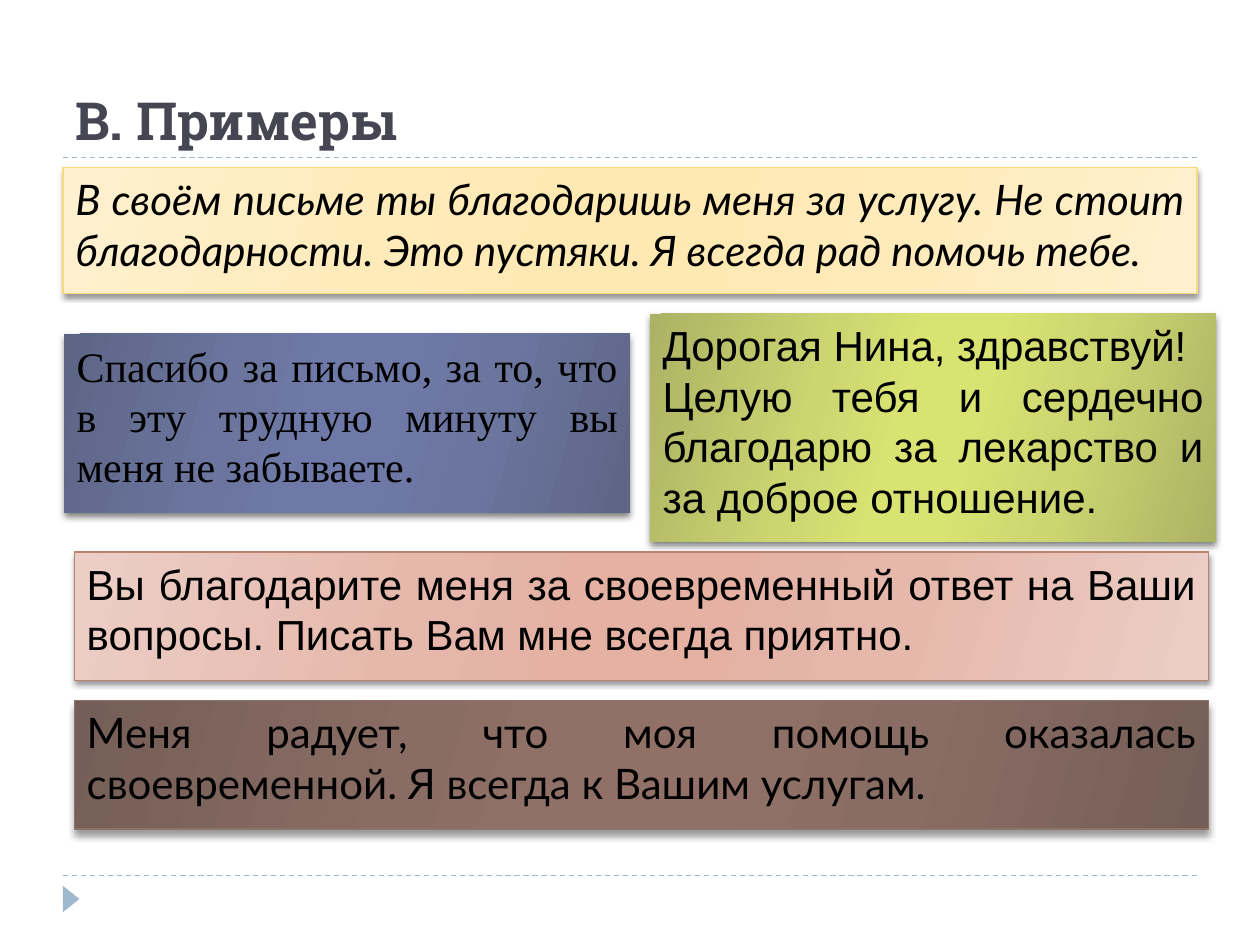
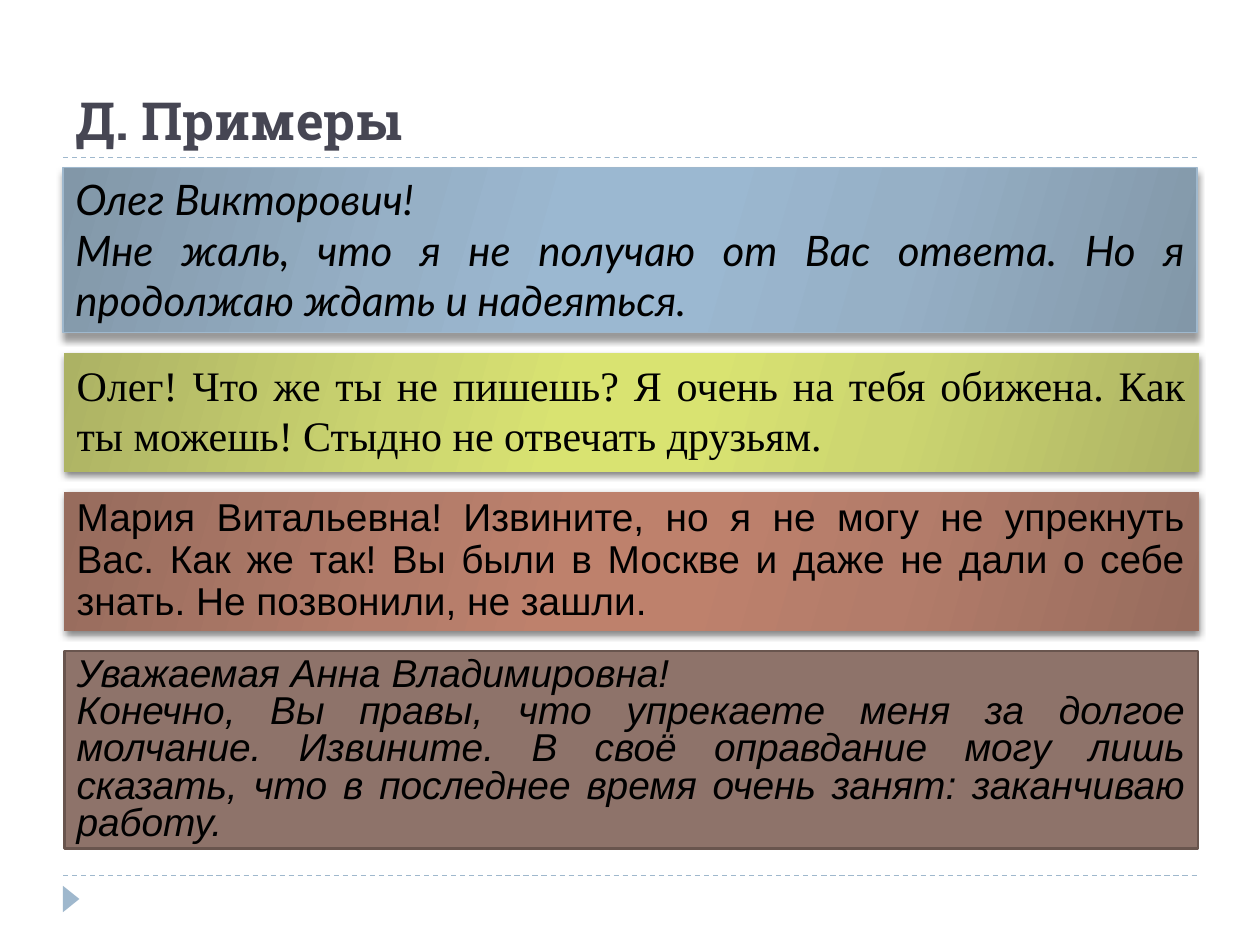
from pptx import Presentation
from pptx.dml.color import RGBColor
from pptx.enum.dml import MSO_LINE
from pptx.enum.shapes import MSO_CONNECTOR, MSO_SHAPE
from pptx.enum.text import MSO_ANCHOR, PP_ALIGN
from pptx.oxml import parse_xml
from pptx.oxml.ns import qn
from pptx.util import Pt
from lxml import etree

DASH = MSO_LINE.DASH
STRAIGHT = MSO_CONNECTOR.STRAIGHT
RECTANGLE, TRIANGLE = MSO_SHAPE.RECTANGLE, MSO_SHAPE.ISOSCELES_TRIANGLE
BOTTOM, TOP = MSO_ANCHOR.BOTTOM, MSO_ANCHOR.TOP
LEFT, JUSTIFY = PP_ALIGN.LEFT, PP_ALIGN.JUSTIFY
DRAWING_NS = "http://schemas.openxmlformats.org/drawingml/2006/main"

SLIDE_WIDTH, SLIDE_HEIGHT = 720, 540
MARGIN, FULL_WIDTH = 36, 648
RULE_TOPS = (500.4, 90)
INK, TITLE_COLOR, ACCENT = "000000", "464653", "9FB8CD"
LATO, ARIAL, TIMES = "Lato", "Arial", "Times New Roman"

# Each gradient runs edge, middle, centre and back again.
STOPS = ((0, 0), (30, 1), (45, 2), (55, 2), (73, 1), (100, 0))
GRADIENT_ANGLE = 16
CREAM = ("FFF0CF", "FFEBBA", "FFE9B3")
INDIGO = ("5D6585", "6B759E", "6E79A7")
LIME = ("ACB264", "CCD570", "D9E371")
PINK = ("ECCEC6", "E6B8AC", "E4B1A3")
BROWN = ("745E57", "896D64", "917167")
BLUE = ("8297A8", "96B0C6", "9BB8D1")
RUST = ("976C5D", "B37C6A", "BE816C")

# Shadows: opacity in percent, blur, distance.
SOFT, STRONG, DEEP = (40, 3, 2), (50, 4, 2), (40, 4, 3.4)

STACK_TOP, STACK_GAP = 95.8, 11.7

EXAMPLES_V = [
    dict(box=(36, 95.8, 648, 72), fill=CREAM, line=("FADA7A", 0.75), shadow=SOFT,
         font=LATO, italic=True,
         text=["В своём письме ты благодаришь меня за услугу. Не стоит "
               "благодарности. Это пустяки. Я всегда рад помочь тебе."]),
    dict(box=(36.7, 190.8, 323.3, 102.2), fill=INDIGO, shadow=STRONG, font=TIMES,
         text=["Спасибо за письмо, за то, что в эту трудную минуту вы меня "
               "не забываете."]),
    dict(box=(371.5, 179.3, 323.3, 130.3), fill=LIME, shadow=STRONG, font=ARIAL,
         text=["Дорогая Нина, здравствуй!",
               "Целую тебя и сердечно благодарю за лекарство и за доброе "
               "отношение."]),
    dict(box=(42.5, 315.4, 648, 73.4), fill=PINK, line=("B88472", 0.75), shadow=SOFT,
         font=ARIAL,
         text=["Вы благодарите меня за своевременный ответ на Ваши вопросы. "
               "Писать Вам мне всегда приятно."]),
    dict(box=(42.5, 400.3, 648, 73.4), fill=BROWN, line=("8E736A", 0.75), shadow=DEEP,
         font=LATO,
         text=["Меня радует, что моя помощь оказалась своевременной. "
               "Я всегда к Вашим услугам."]),
]

# These are stacked with equal gaps, so only left edge and height are given.
EXAMPLES_D = [
    dict(left=36, height=94.3, fill=BLUE, line=(ACCENT, 0.75), shadow=DEEP,
         font=LATO, italic=True,
         text=["Олег Викторович!",
               "Мне жаль, что я не получаю от Вас ответа. Но я продолжаю ждать "
               "и надеяться."]),
    dict(left=36.7, height=67.7, fill=LIME, shadow=STRONG, font=TIMES,
         text=["Олег! Что же ты не пишешь? Я очень на тебя обижена. Как ты "
               "можешь! Стыдно не отвечать друзьям."]),
    dict(left=36.7, height=79.2, fill=RUST, shadow=STRONG, font=ARIAL,
         size=22.2, spacing=0.9,
         text=["Мария Витальевна! Извините, но я не могу не упрекнуть Вас. "
               "Как же так! Вы были в Москве и даже не дали о себе знать. "
               "Не позвонили, не зашли."]),
    dict(left=36.7, height=113, fill="8E736A", line=("69554E", 1.5), font=ARIAL,
         size=22.2, spacing=0.8, italic=True,
         text=["Уважаемая Анна Владимировна!",
               "Конечно, Вы правы, что упрекаете меня за долгое молчание. "
               "Извините. В своё оправдание могу лишь сказать, что в последнее "
               "время очень занят: заканчиваю работу."]),
]


def color(value):
    """Turn a hex string into a colour."""
    return RGBColor.from_string(value)


def points(*values):
    """Turn numbers into lengths in points."""
    return [Pt(value) for value in values]


def set_gradient(shape, tones):
    """Fill a shape with a symmetric three-tone gradient."""
    stops = "".join(
        f'<a:gs pos="{position * 1000}"><a:srgbClr val="{tones[tone]}"/></a:gs>'
        for position, tone in STOPS)
    gradient = parse_xml(
        f'<a:gradFill xmlns:a="{DRAWING_NS}" rotWithShape="1"><a:gsLst>{stops}</a:gsLst>'
        f'<a:lin ang="{GRADIENT_ANGLE * 60000}" scaled="1"/></a:gradFill>')
    shape.fill.background()
    properties = shape._element.spPr
    properties.replace(properties.find(qn("a:noFill")), gradient)


def set_shadow(shape, opacity, blur, distance):
    """Give a shape a black shadow that falls straight down."""
    effects = shape._element.spPr.find(qn("a:effectLst"))
    effects.append(parse_xml(
        f'<a:outerShdw xmlns:a="{DRAWING_NS}" blurRad="{Pt(blur)}" dist="{Pt(distance)}" '
        f'dir="5400000" algn="ctr" rotWithShape="0"><a:srgbClr val="{INK}">'
        f'<a:alpha val="{opacity * 1000}"/></a:srgbClr></a:outerShdw>'))


def add_block(slide, kind, box, fill, line=None, shadow=None):
    """Add a preset shape with its fill, outline and shadow."""
    shape = slide.shapes.add_shape(kind, *points(*box))
    shape.shadow.inherit = False
    if isinstance(fill, str):
        shape.fill.solid()
        shape.fill.fore_color.rgb = color(fill)
    else:
        set_gradient(shape, fill)
    if line:
        shape.line.color.rgb = color(line[0])
        shape.line.width = Pt(line[1])
    else:
        shape.line.fill.background()
    if shadow:
        set_shadow(shape, *shadow)
    return shape


def write(shape, texts, font, size, ink=INK, bold=False, italic=False,
          align=LEFT, anchor=TOP, spacing=None):
    """Write one paragraph per text into a shape."""
    frame = shape.text_frame
    frame.word_wrap = True
    frame.vertical_anchor = anchor
    for index, text in enumerate(texts):
        paragraph = frame.add_paragraph() if index else frame.paragraphs[0]
        paragraph.alignment = align
        if spacing:
            paragraph.line_spacing = spacing
        run = paragraph.add_run()
        run.text = text
        run.font.name, run.font.size = font, Pt(size)
        run.font.bold, run.font.italic = bold, italic
        run.font.color.rgb = color(ink)


def add_frame(slide, title):
    """Add the dashed rules, the corner marker and the title."""
    for top in RULE_TOPS:
        rule = slide.shapes.add_connector(
            STRAIGHT, *points(MARGIN, top, MARGIN + FULL_WIDTH, top))
        rule.line.color.rgb = color(ACCENT)
        rule.line.width = Pt(0.75)
        rule.line.dash_style = DASH
        etree.SubElement(rule._element.spPr, qn("a:effectLst"))
    marker = add_block(slide, TRIANGLE, (33.1, 509, 15.1, 9.4), ACCENT)
    marker.rotation = 90
    heading = slide.shapes.add_textbox(*points(MARGIN, 12.2, FULL_WIDTH, 77.8))
    write(heading, [title], "Roboto Slab", 30, TITLE_COLOR, bold=True, anchor=BOTTOM)


def stack(examples):
    """Place full-width examples one below another with equal gaps."""
    top, placed = STACK_TOP, []
    for example in examples:
        box = (example["left"], top, FULL_WIDTH, example["height"])
        placed.append(dict(example, box=box))
        top += example["height"] + STACK_GAP
    return placed


def add_slide(presentation, title, examples):
    """Add a slide with a title and its example boxes."""
    slide = presentation.slides.add_slide(presentation.slide_layouts[6])
    add_frame(slide, title)
    for example in examples:
        shape = add_block(slide, RECTANGLE, example["box"], example["fill"],
                          example.get("line"), example.get("shadow"))
        write(shape, example["text"], example["font"], example.get("size", 24),
              italic=example.get("italic", False), align=JUSTIFY,
              spacing=example.get("spacing"))


presentation = Presentation()
presentation.slide_width, presentation.slide_height = points(SLIDE_WIDTH, SLIDE_HEIGHT)
add_slide(presentation, "В. Примеры", EXAMPLES_V)
add_slide(presentation, "Д. Примеры", stack(EXAMPLES_D))
presentation.save("out.pptx")
